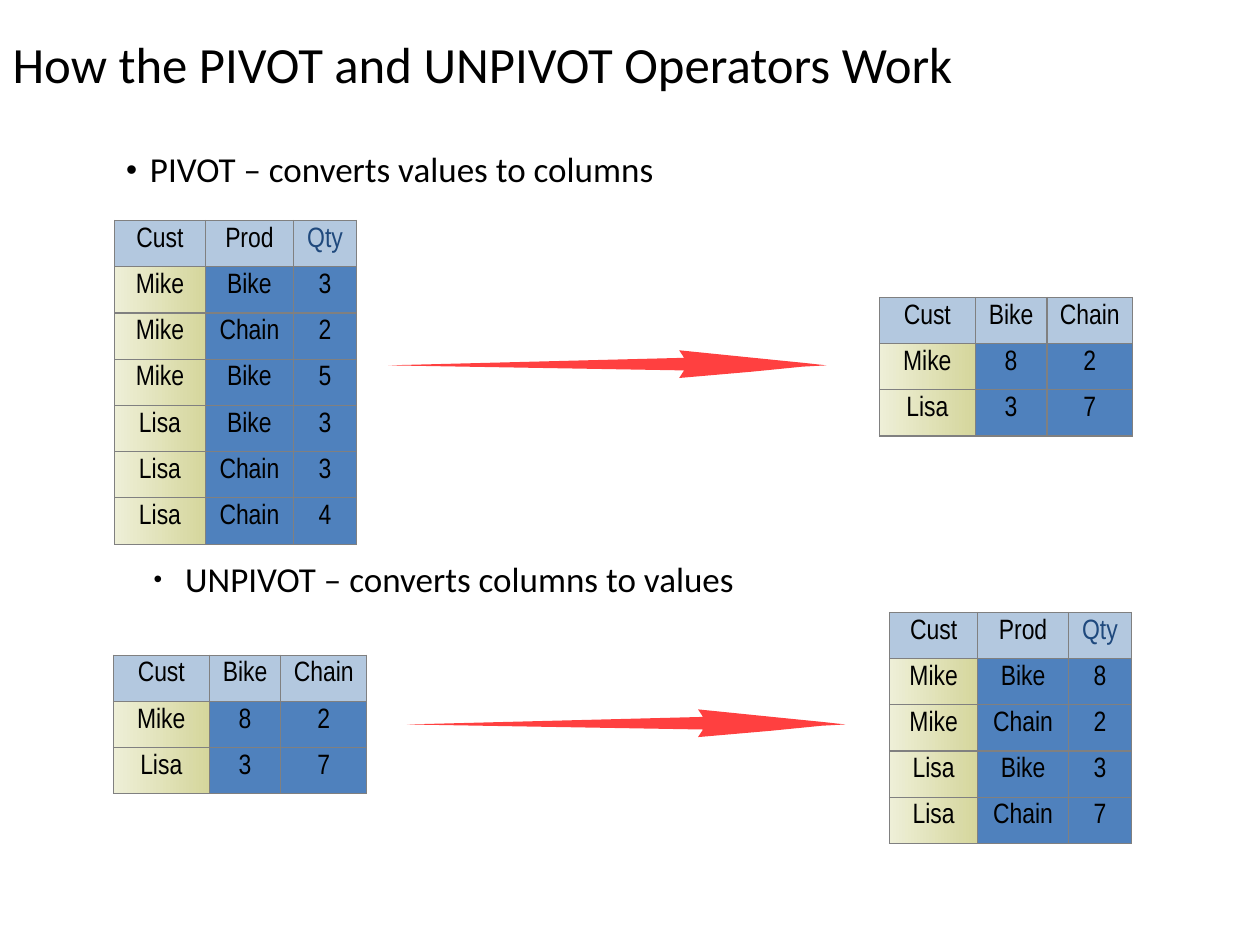
import pptx
import pptx.dml.color
import pptx.enum.text
import pptx.oxml
import pptx.oxml.ns
import pptx.util
from pptx.util import Inches

THEME = {
    "text": "000000", "quantity": "1F497D", "header": "B3C8DF", "body": "4F81BD",
    "customer": ("EEEFD7", "D5D69C"), "border": "808080", "arrow": "FF0000",
    "heading_font": "Calibri", "table_font": "Arial Narrow",
    "title_size": 29, "bullet_size": 20, "table_size": 16,
    "border_width": 0.75, "arrow_opacity": 75,
}

TITLE = "How the PIVOT and UNPIVOT Operators Work"

# text, left, top, hanging indent, bullet size in percent
BULLETS = [
    ("PIVOT – converts values to columns", 1.0, 1.21, 0.19, 90),
    ("UNPIVOT – converts columns to values", 1.22, 4.46, 0.25, 70),
]

PIVOTED = [("Cust", "Bike", "Chain"), ("Mike", "8", "2"), ("Lisa", "3", "7")]
SALES = [
    ("Cust", "Prod", "Qty"),
    ("Mike", "Bike", "3"), ("Mike", "Chain", "2"), ("Mike", "Bike", "5"),
    ("Lisa", "Bike", "3"), ("Lisa", "Chain", "3"), ("Lisa", "Chain", "4"),
]
UNPIVOTED = [
    ("Cust", "Prod", "Qty"),
    ("Mike", "Bike", "8"), ("Mike", "Chain", "2"),
    ("Lisa", "Bike", "3"), ("Lisa", "Chain", "7"),
]
PIVOTED_WIDTHS = (0.76, 0.57, 0.68)

# rows, left, top, total height, column widths
TABLES = [
    (SALES, 0.91, 1.75, 2.57, (0.72, 0.7, 0.5)),
    (PIVOTED, 6.98, 2.36, 1.1, PIVOTED_WIDTHS),
    (PIVOTED, 0.9, 5.2, 1.1, PIVOTED_WIDTHS),
    (UNPIVOTED, 7.06, 4.86, 1.83, (0.7, 0.72, 0.5)),
]

# tail point of each arrow, and the outline relative to it
ARROWS = [(3.08, 2.9), (3.23, 5.75)]
ARROW_OUTLINE = [
    (0, 0), (2.35, -0.06), (2.31, -0.12), (2.9, -0.06), (3.3, -0.02),
    (3.48, 0), (3.29, 0.01), (2.89, 0.05), (2.31, 0.1), (2.35, 0.04),
]


def color(name):
    return pptx.dml.color.RGBColor.from_string(name)


def set_font(paragraph, face, size, font_color=THEME["text"]):
    paragraph.font.name = face
    paragraph.font.size = pptx.util.Pt(size)
    paragraph.font.color.rgb = color(font_color)


def element(xml):
    """Parse a DrawingML fragment written with the a: prefix."""
    tag, rest = xml[1:].split(" ", 1)
    return pptx.oxml.parse_xml(f"<{tag} {pptx.oxml.ns.nsdecls('a')} {rest}")


def add_title(slide):
    title = slide.shapes.title
    title.left, title.top = Inches(0), Inches(0)
    title.width, title.height = Inches(8.27), Inches(1)
    frame = title.text_frame
    frame.text = TITLE
    frame.vertical_anchor = pptx.enum.text.MSO_ANCHOR.MIDDLE
    paragraph = frame.paragraphs[0]
    paragraph.alignment = pptx.enum.text.PP_ALIGN.LEFT
    set_font(paragraph, THEME["heading_font"], THEME["title_size"])


def add_bullet(slide, text, left, top, indent, bullet_percent):
    box = slide.shapes.add_textbox(Inches(left), Inches(top), Inches(7.61), Inches(0.46))
    frame = box.text_frame
    frame.word_wrap = True
    frame.margin_left = frame.margin_right = frame.margin_top = frame.margin_bottom = 0
    frame.text = text
    paragraph = frame.paragraphs[0]
    paragraph.line_spacing = 0.9
    properties = paragraph._p.get_or_add_pPr()
    properties.set("marL", str(Inches(indent)))
    properties.set("indent", str(-Inches(indent)))
    for xml in (
        f'<a:buClr ><a:srgbClr val="{THEME["text"]}"/></a:buClr>',
        f'<a:buSzPct val="{bullet_percent * 1000}"/>',
        '<a:buFont typeface="Arial"/>',
        '<a:buChar char="•"/>',
    ):
        properties.append(element(xml))
    set_font(paragraph, THEME["heading_font"], THEME["bullet_size"])


def add_borders(cell):
    properties = cell._tc.get_or_add_tcPr()
    width = pptx.util.Pt(THEME["border_width"])
    for side in ("lnL", "lnR", "lnT", "lnB"):
        properties.append(element(
            f'<a:{side} w="{width}"><a:solidFill><a:srgbClr val="{THEME["border"]}"/>'
            f'</a:solidFill></a:{side}>'))


def fill_cell(cell, is_header, is_customer):
    if is_customer and not is_header:
        cell.fill.gradient()
        cell.fill.gradient_angle = 0
        for stop, stop_color in zip(cell.fill.gradient_stops, THEME["customer"]):
            stop.color.rgb = color(stop_color)
    else:
        cell.fill.solid()
        cell.fill.fore_color.rgb = color(THEME["header" if is_header else "body"])


def add_data_table(slide, rows, left, top, height, widths):
    table = slide.shapes.add_table(
        len(rows), len(widths), Inches(left), Inches(top),
        Inches(sum(widths)), Inches(height)).table
    table.first_row = table.horz_banding = False
    for column, width in zip(table.columns, widths):
        column.width = Inches(width)
    for row_index, row in enumerate(rows):
        for column_index, text in enumerate(row):
            cell = table.cell(row_index, column_index)
            cell.text = text
            paragraph = cell.text_frame.paragraphs[0]
            paragraph.alignment = pptx.enum.text.PP_ALIGN.CENTER
            set_font(paragraph, THEME["table_font"], THEME["table_size"],
                     THEME["quantity" if text == "Qty" else "text"])
            add_borders(cell)
            fill_cell(cell, row_index == 0, column_index == 0)


def add_arrow(slide, left, middle):
    points = [(Inches(left + x), Inches(middle + y)) for x, y in ARROW_OUTLINE]
    builder = slide.shapes.build_freeform(*points[0])
    builder.add_line_segments(points[1:], close=True)
    arrow = builder.convert_to_shape()
    arrow.shadow.inherit = False
    arrow.line.fill.background()
    arrow.fill.solid()
    arrow.fill.fore_color.rgb = color(THEME["arrow"])
    fill_color = arrow._element.spPr.find(".//" + pptx.oxml.ns.qn("a:srgbClr"))
    fill_color.append(element(f'<a:alpha val="{THEME["arrow_opacity"] * 1000}"/>'))


def main():
    presentation = pptx.Presentation()
    presentation.slide_width, presentation.slide_height = Inches(10), Inches(7.5)
    slide = presentation.slides.add_slide(presentation.slide_layouts[5])
    add_title(slide)
    for bullet in BULLETS:
        add_bullet(slide, *bullet)
    for table in TABLES:
        add_data_table(slide, *table)
    for arrow in ARROWS:
        add_arrow(slide, *arrow)
    presentation.save("out.pptx")


if __name__ == "__main__":
    main()
